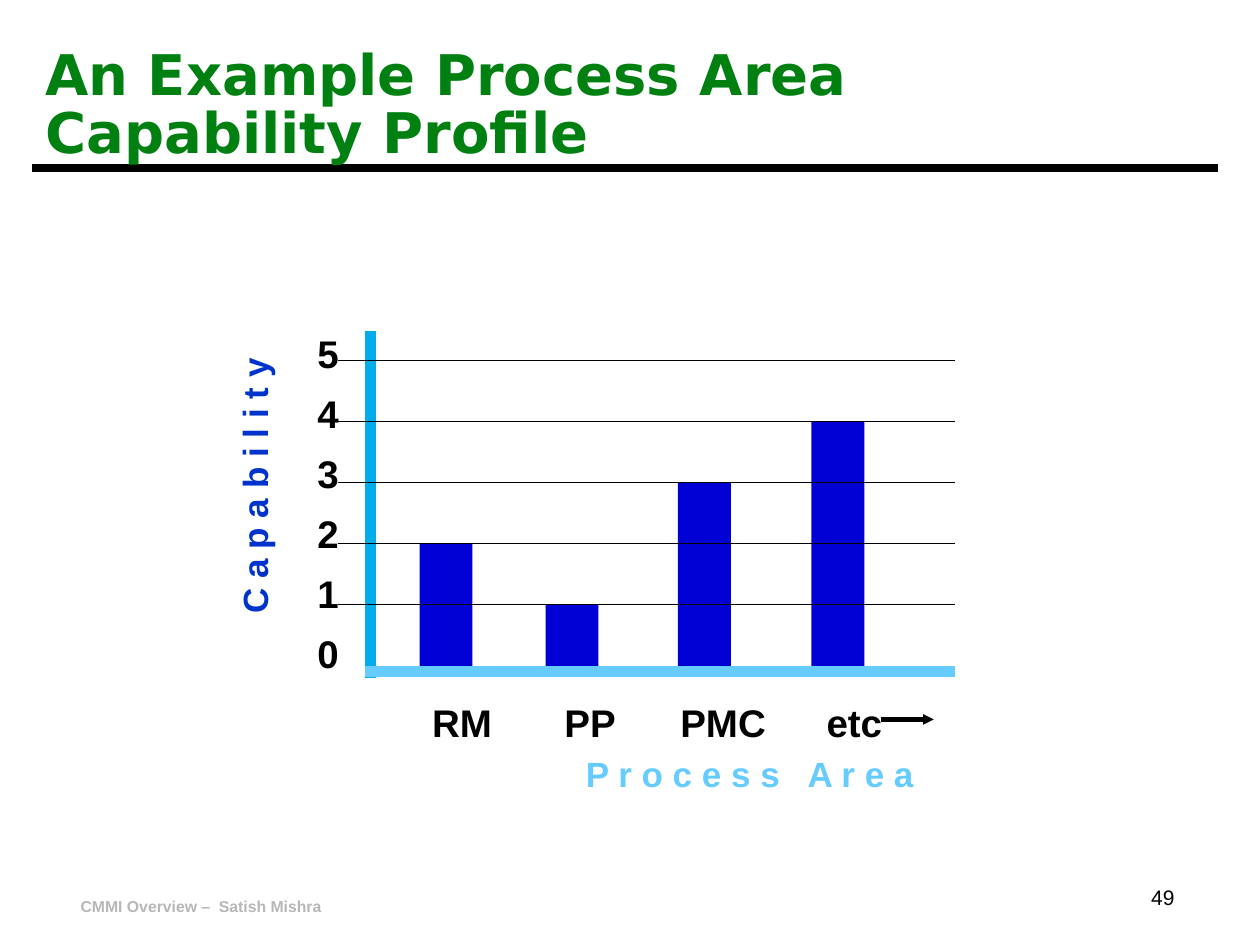
import pptx
import pptx.dml.color
import pptx.enum.shapes
import pptx.enum.text
import pptx.oxml
import pptx.oxml.ns
import pptx.util

COLORS = {
    "ink": "000000", "title": "008011", "footer": "B7B7B7", "bar": "0000D4",
    "y_axis": "02ABEA", "x_axis": "66CCFF", "y_title": "0033CC",
}
WIDTH, HEIGHT = pptx.util.Inches(10), pptx.util.Inches(7.5)
COL, ROW = WIDTH / 100, HEIGHT / 75
BARS = [("RM", 2, 10.4, 9.1), ("PP", 1, 20.4, 19.6),
        ("PMC", 3, 30.9, 28.8), ("etc", 4, 41.5, 40.4)]


def rgb(name):
    """Return the named colour."""
    return pptx.dml.color.RGBColor.from_string(COLORS[name])


def grid(x, y):
    """Turn columns and rows into slide lengths."""
    return round(x * COL), round(y * ROW)


def write(tf, text, size, color, font="Arial", bold=True, spacing=None,
          align=pptx.enum.text.PP_ALIGN.LEFT, insets=(0.23, 0.11)):
    """Fill a text frame with one paragraph for each line of text."""
    tf.margin_left = tf.margin_right = pptx.util.Inches(insets[0])
    tf.margin_top = tf.margin_bottom = pptx.util.Inches(insets[1])
    for i, line in enumerate(text.split("\n")):
        p = tf.add_paragraph() if i else tf.paragraphs[0]
        p.alignment = align
        p.line_spacing = spacing
        p.space_before = pptx.util.Pt(0)
        r = p.add_run()
        r.text = line
        r.font.name, r.font.bold = font, bold
        r.font.size = pptx.util.Pt(size)
        r.font.color.rgb = rgb(color)


def add_text(s, x, y, w, h, text, size, color, rotation=0, **style):
    """Add a text box on the grid."""
    sp = s.shapes.add_textbox(*grid(x, y), *grid(w, h))
    sp.rotation = rotation
    sp.text_frame.word_wrap = True
    write(sp.text_frame, text, size, color, **style)


def add_line(s, x1, y1, x2, y2, color, width, arrow=False):
    """Add a straight line on the grid, with an arrowhead if wanted."""
    sp = s.shapes.add_connector(pptx.enum.shapes.MSO_CONNECTOR.STRAIGHT,
                                *grid(x1, y1), *grid(x2, y2))
    sp.line.color.rgb = rgb(color)
    sp.line.width = pptx.util.Pt(width)
    ns = pptx.oxml.ns.nsdecls("a")
    if arrow:
        sp.line._get_or_add_ln().append(pptx.oxml.parse_xml(
            f'<a:tailEnd {ns} type="triangle" w="sm" len="sm"/>'))
    sp._element.spPr.append(pptx.oxml.parse_xml(f"<a:effectLst {ns}/>"))


def add_header(s, x, y, w, h):
    """Place the title over its rule."""
    rule_y = y + h - 0.2
    add_line(s, x, rule_y, x + 94.2, rule_y, "ink", 4.5)
    title = s.shapes.title
    title.left, title.top = grid(x, y)
    title.width, title.height = grid(w, h)
    tf = title.text_frame
    tf.word_wrap = True
    tf.auto_size = pptx.enum.text.MSO_AUTO_SIZE.NONE
    tf.vertical_anchor = pptx.enum.text.MSO_ANCHOR.MIDDLE
    write(tf, "An Example Process Area Capability Profile", 32, "title",
          font="DejaVu Sans", spacing=0.87, insets=(0.11, 0.06))
    s.shapes.element.append(title.element)


def add_profile(s, x, y, w, h):
    """Draw the capability profile: bars, axes, gridlines and labels."""
    base, step = y + h, 4.85
    level_y = [base - 0.45 - step * level for level in range(6)]
    right = x + w
    for label, level, bar_x, label_x in BARS:
        sp = s.shapes.add_shape(pptx.enum.shapes.MSO_SHAPE.RECTANGLE,
                                *grid(x + bar_x, level_y[level]),
                                *grid(4.2, base - level_y[level]))
        sp.shadow.inherit = False
        sp.fill.solid()
        sp.fill.fore_color.rgb = rgb("bar")
        sp.line.fill.background()
        add_text(s, x + label_x, base + 1.1, 5 + 2.5 * len(label), 5.9,
                 label, 22, "ink")
    add_line(s, right - 5.9, base + 3.8, right - 1.7, base + 3.8, "ink", 3, arrow=True)
    add_line(s, x + 6.5, y, x + 6.5, base + 0.5, "y_axis", 6)
    add_text(s, x, y - 2.3, 6.4, 30.8, "5\n4\n3\n2\n1\n0", 22, "ink", spacing=1.3)
    add_text(s, x - 16.2, y + 8.4, 27, 5.6, "C a p a b i l i t y", 20, "y_title",
             rotation=270)
    add_text(s, x + 21.3, base + 5.3, 32, 5.6, "P r o c e s s   A r e a", 20, "x_axis")
    add_line(s, x + 6.1, base, right, base, "x_axis", 6)
    for line_y in level_y[1:]:
        add_line(s, x + 3.9, line_y, right, line_y, "ink", 0.75)


def add_footer(s, x, y, w, h):
    """Place the course name at the left and the page number at the right."""
    add_text(s, x, y + 0.8, 23, 2.4, "CMMI Overview –  Satish Mishra", 9, "footer",
             insets=(0.09, 0.05))
    add_text(s, x + w - 20.8, y, 20.8, h, "49", 12, "ink", bold=False,
             spacing=0.9, align=pptx.enum.text.PP_ALIGN.RIGHT, insets=(0.1, 0.05))


def main():
    """Build the slide and save it."""
    prs = pptx.Presentation()
    prs.slide_width, prs.slide_height = WIDTH, HEIGHT
    s = prs.slides.add_slide(prs.slide_layouts[5])
    add_header(s, 2.5, 3.5, 84.7, 10)
    add_profile(s, 22.9, 26.3, 52.9, 27)
    add_footer(s, 5.5, 69.9, 88.7, 3.6)
    prs.save("out.pptx")


if __name__ == "__main__":
    main()
